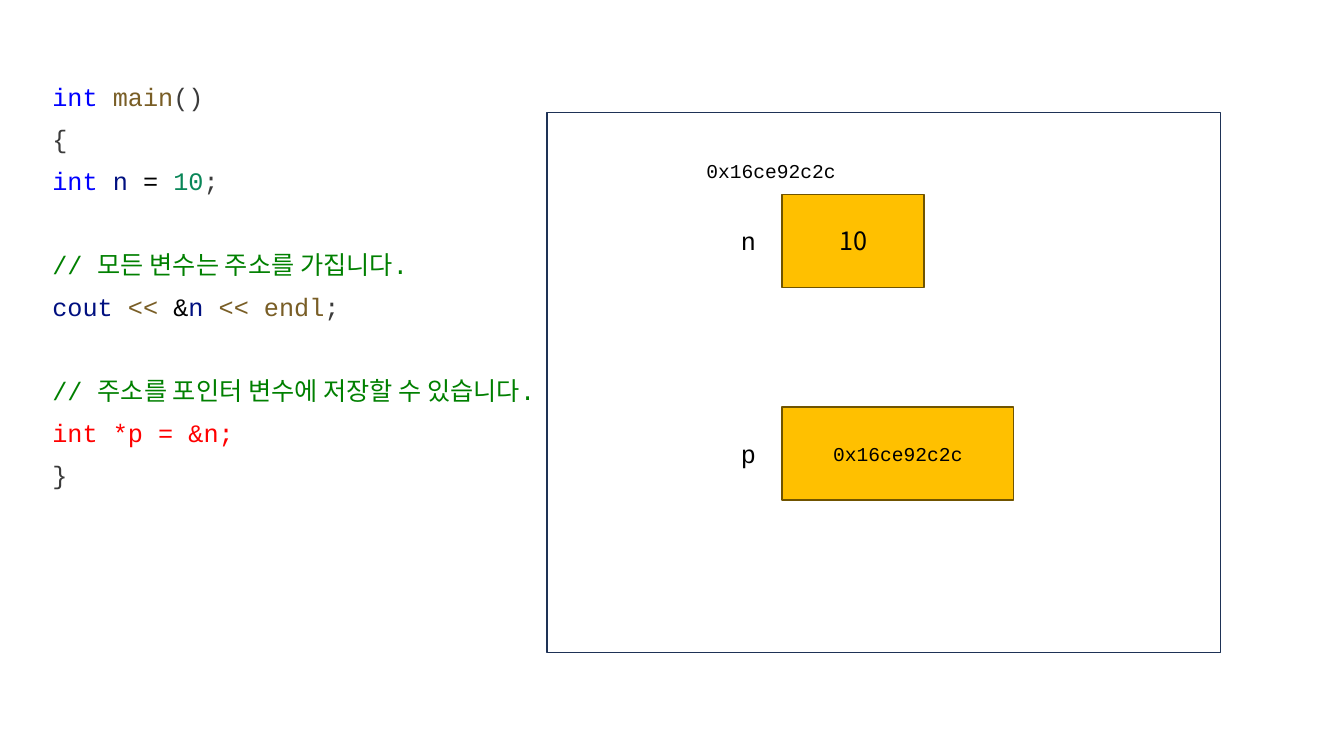
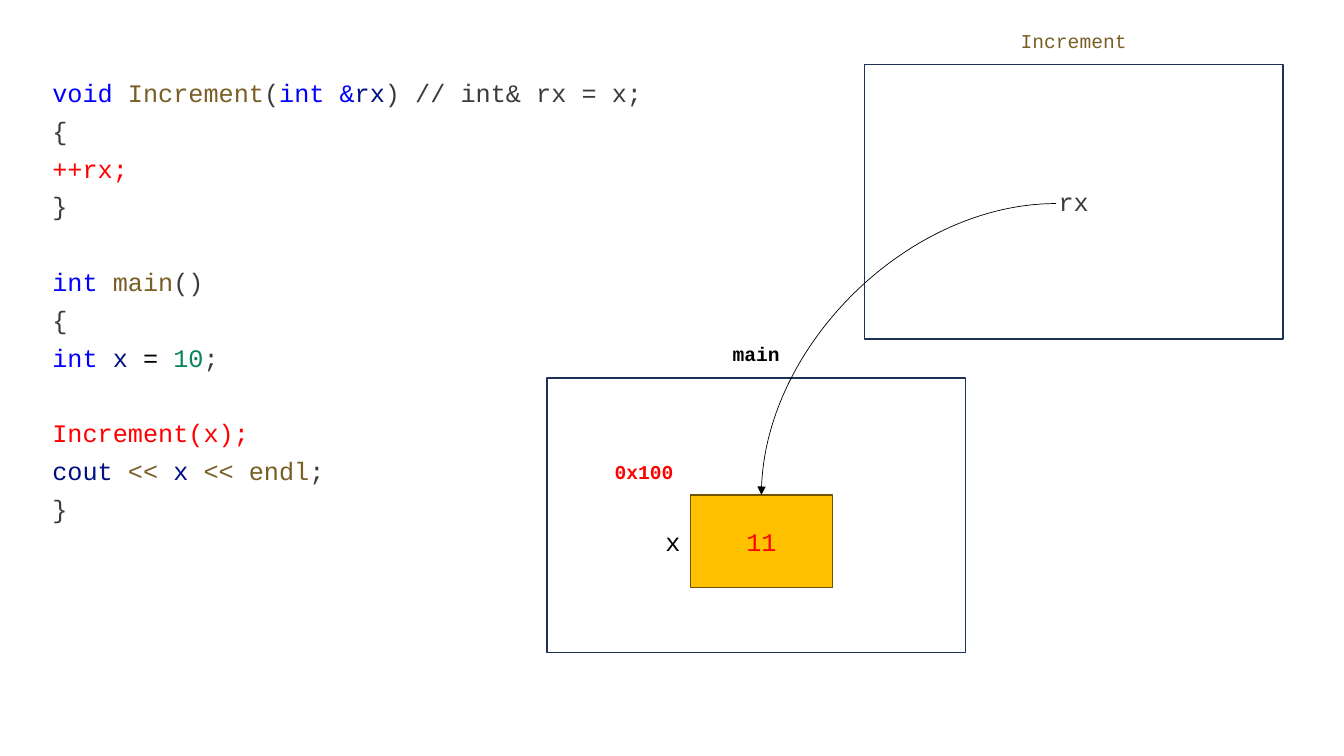
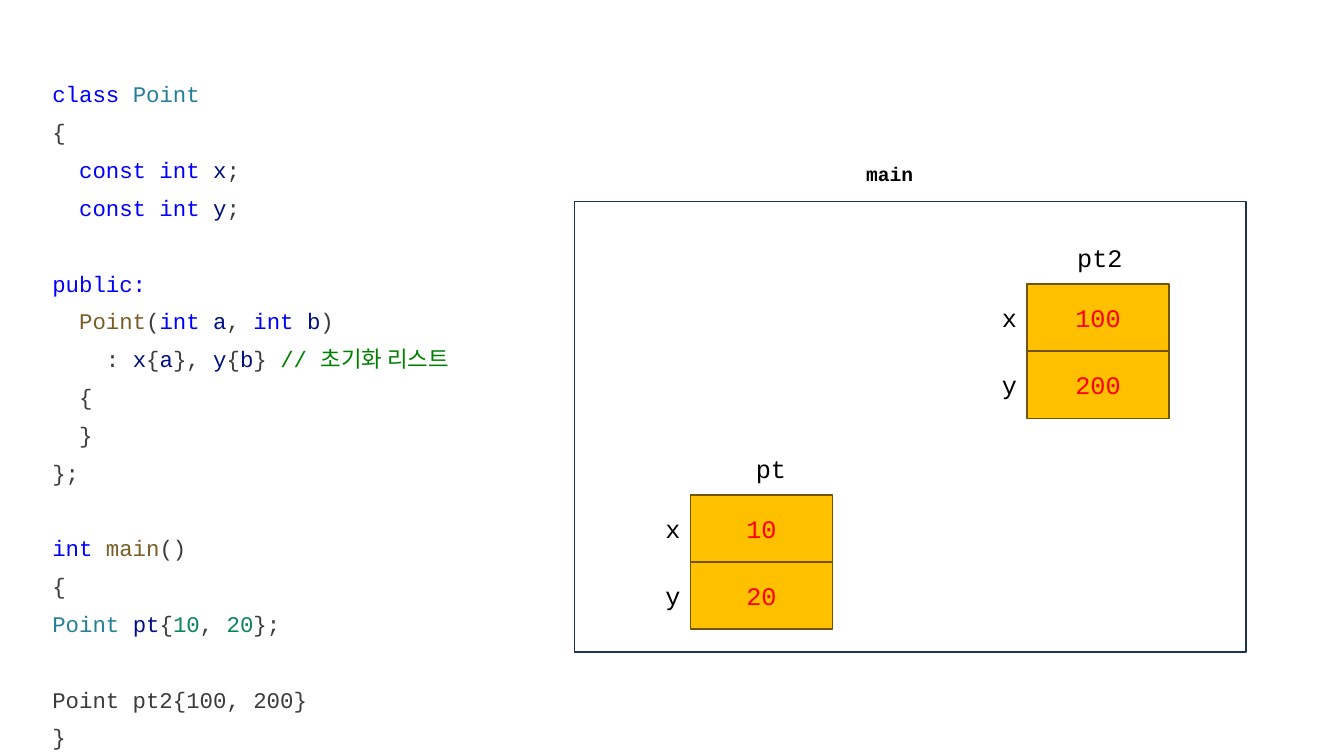
from lxml import etree
from pptx import Presentation
from pptx import util as u
from pptx.dml.color import RGBColor
from pptx.enum import shapes, text
from pptx.oxml import ns

# Colours
BLACK = RGBColor(0x00, 0x00, 0x00)
WHITE = RGBColor(0xFF, 0xFF, 0xFF)
RED = RGBColor(0xFF, 0x00, 0x00)
AMBER = RGBColor(0xFF, 0xC0, 0x00)
AMBER_EDGE = RGBColor(0x70, 0x54, 0x00)
NAVY = RGBColor(0x1E, 0x32, 0x56)
GREY = RGBColor(0x3B, 0x3B, 0x3B)
KEYWORD = RGBColor(0x00, 0x00, 0xFF)
FUNCTION = RGBColor(0x79, 0x5E, 0x26)
VARIABLE = RGBColor(0x00, 0x10, 0x80)
NUMBER = RGBColor(0x09, 0x86, 0x58)
COMMENT = RGBColor(0x00, 0x80, 0x00)
TYPE = RGBColor(0x26, 0x7F, 0x99)

# Fonts and shared styles
MONO = "Courier New"
KOREAN = "Noto Sans CJK KR"
LEFT, CENTER, RIGHT = text.PP_ALIGN.LEFT, text.PP_ALIGN.CENTER, text.PP_ALIGN.RIGHT
FRAME = dict(fill=WHITE, edge=NAVY)
MEMORY = dict(fill=AMBER, edge=AMBER_EDGE, align=CENTER)
CODE = dict(left=1.07, top=1.63, width=16.92)
CELL_WIDTH, CELL_HEIGHT, LABEL_HEIGHT, SMALL_HEIGHT = 3.58, 2.34, 1.02, 0.86
LABEL_WIDTH = 3


def add_text(slide, content, left, top, width, height, fill=None, edge=None,
             size=18, font=MONO, color=BLACK, bold=False, align=LEFT,
             pitch=None, wrap=True):
    """Content is a string, or lines of (text, colour) runs; an empty line is a gap."""
    area = [u.Cm(value) for value in (left, top, width, height)]
    if fill is None:
        shape = slide.shapes.add_textbox(*area)
        shape.text_frame.auto_size = text.MSO_AUTO_SIZE.SHAPE_TO_FIT_TEXT
    else:
        shape = slide.shapes.add_shape(shapes.MSO_SHAPE.RECTANGLE, *area)
        shape.shadow.inherit = False
        shape.fill.solid()
        shape.fill.fore_color.rgb = fill
        shape.line.color.rgb = edge
        shape.line.width = u.Pt(1)
        shape.text_frame.vertical_anchor = text.MSO_ANCHOR.MIDDLE
    frame = shape.text_frame
    frame.word_wrap = wrap

    lines = [[(content, color)]] if isinstance(content, str) else content
    paragraph, gap = None, False
    for line in lines:
        if not line:
            gap = True
            continue
        paragraph = frame.add_paragraph() if paragraph else frame.paragraphs[0]
        paragraph.alignment = align
        if pitch:
            paragraph.line_spacing = u.Pt(pitch)
        if gap:
            paragraph.space_before = u.Pt(pitch)
        gap = False
        for run_text, run_color in line:
            run = paragraph.add_run()
            run.text = run_text
            run.font.size = u.Pt(size)
            run.font.name = font
            run.font.bold = bold
            run.font.color.rgb = run_color
            east_asian = etree.SubElement(run.font._element, ns.qn("a:ea"))
            east_asian.set("typeface", KOREAN)
    return shape


presentation = Presentation()
presentation.slide_width = u.Cm(33.87)
presentation.slide_height = u.Cm(19.05)
blank = presentation.slide_layouts[6]

# Slide 1: pointer variable
slide = presentation.slides.add_slide(blank)
pointer_code = [
    [("int ", KEYWORD), ("main", FUNCTION), ("()", GREY)],
    [("{", GREY)],
    [("int ", KEYWORD), ("n ", VARIABLE), ("= ", BLACK), ("10", NUMBER), (";", GREY)],
    [],
    [("// 모든 변수는 주소를 가집니다.", COMMENT)],
    [("cout ", VARIABLE), ("<< ", FUNCTION), ("&", BLACK), ("n ", VARIABLE),
     ("<< endl", FUNCTION), (";", GREY)],
    [],
    [("// 주소를 포인터 변수에 저장할 수 있습니다.", COMMENT)],
    [("int *p = &n;", RED)],
    [("}", GREY)],
]
add_text(slide, pointer_code, height=10.87, pitch=30, **CODE)
add_text(slide, [], 13.79, 2.84, 16.97, 13.61, **FRAME)
add_text(slide, "0x16ce92c2c", 17.55, 3.89, 4.55, SMALL_HEIGHT, size=14)
for name, value, top, width, size, font in [
    ("n", "10", 4.9, CELL_WIDTH, 18, KOREAN),
    ("p", "0x16ce92c2c", 10.26, 5.84, 14, MONO),
]:
    add_text(slide, value, 19.71, top, width, CELL_HEIGHT, size=size, font=font, **MEMORY)
    add_text(slide, name, 18.42, top + 0.66, 0.89, LABEL_HEIGHT, wrap=False)

# Slide 2: reference parameter
slide = presentation.slides.add_slide(blank)
reference_code = [
    [("void ", KEYWORD), ("Increment", FUNCTION), ("(", GREY), ("int &", KEYWORD),
     ("rx", VARIABLE), (") // int& rx = x;", GREY)],
    [("{", GREY)],
    [("++rx;", RED)],
    [("}", GREY)],
    [],
    [("int ", KEYWORD), ("main", FUNCTION), ("()", GREY)],
    [("{", GREY)],
    [("int ", KEYWORD), ("x ", VARIABLE), ("= ", BLACK), ("10", NUMBER), (";", GREY)],
    [],
    [("Increment(x);", RED)],
    [("cout ", VARIABLE), ("<< ", FUNCTION), ("x ", VARIABLE),
     ("<< endl", FUNCTION), (";", GREY)],
    [("}", GREY)],
]
add_text(slide, reference_code, height=11.73, pitch=27, **CODE)

# Stack frames
for name, content, left, top, color, bold in [
    ("main", [], 13.79, 9.53, BLACK, True),
    ("Increment", "rx", 21.79, 1.63, FUNCTION, False),
]:
    add_text(slide, content, left, top, 10.54, 6.91, color=GREY, align=CENTER, **FRAME)
    add_text(slide, name, left, top - 1.03, 10.54, SMALL_HEIGHT,
             size=14, color=color, bold=bold, align=CENTER)

# Variable x
cell_left, cell_top = 17.4, 12.47
add_text(slide, "11", cell_left, cell_top, CELL_WIDTH, CELL_HEIGHT, color=RED, **MEMORY)
add_text(slide, "x", cell_left - LABEL_WIDTH, cell_top + 0.66, LABEL_WIDTH, LABEL_HEIGHT,
         align=RIGHT)
add_text(slide, "0x100", 15.24, 11.46, 4.55, SMALL_HEIGHT, size=14, color=RED, bold=True)

# Curved arrow from rx to x
arrow = slide.shapes.add_connector(
    shapes.MSO_CONNECTOR.CURVE, u.Cm(26.62), u.Cm(5.13),
    u.Cm(cell_left + CELL_WIDTH / 2), u.Cm(cell_top))
arrow.line.color.rgb = BLACK
arrow.line.width = u.Pt(0.5)
properties = arrow._element.spPr
properties.find(ns.qn("a:prstGeom")).set("prst", "curvedConnector2")
etree.SubElement(properties.find(ns.qn("a:ln")), ns.qn("a:tailEnd")).set("type", "triangle")
etree.SubElement(properties, ns.qn("a:effectLst"))

# Slide 3: class with an initializer list
slide = presentation.slides.add_slide(blank)
class_code = [
    [("class ", KEYWORD), ("Point", TYPE)],
    [("{", GREY)],
    [("  const int ", KEYWORD), ("x", VARIABLE), (";", GREY)],
    [("  const int ", KEYWORD), ("y", VARIABLE), (";", GREY)],
    [],
    [("public:", KEYWORD)],
    [("  Point", FUNCTION), ("(", GREY), ("int ", KEYWORD), ("a", VARIABLE), (", ", GREY),
     ("int ", KEYWORD), ("b", VARIABLE), (")", GREY)],
    [("    : ", GREY), ("x", VARIABLE), ("{", GREY), ("a", VARIABLE), ("}, ", GREY),
     ("y", VARIABLE), ("{", GREY), ("b", VARIABLE), ("}", GREY),
     (" // 초기화 리스트", COMMENT)],
    [("  {", GREY)],
    [("  }", GREY)],
    [("};", GREY)],
    [],
    [("int ", KEYWORD), ("main", FUNCTION), ("()", GREY)],
    [("{", GREY)],
    [("Point ", TYPE), ("pt", VARIABLE), ("{", GREY), ("10", NUMBER), (", ", GREY),
     ("20", NUMBER), ("};", GREY)],
    [],
    [("Point pt2{100, 200}", GREY)],
    [("}", GREY)],
]
add_text(slide, class_code, height=17.5, size=16, pitch=27, **CODE)
add_text(slide, [], 14.48, 5.08, 16.92, 11.35, **FRAME)
add_text(slide, "main", 17.15, 3.96, 10.54, SMALL_HEIGHT, size=14, bold=True, align=CENTER)

# Point objects
member_height = 1.69
for name, left, top, values in [
    ("pt", 17.4, 12.47, ("10", "20")),
    ("pt2", 25.88, 7.16, ("100", "200")),
]:
    add_text(slide, name, left - 1.45, top - 1.17, 4.11, LABEL_HEIGHT, align=RIGHT)
    for row, (member, value) in enumerate(zip("xy", values)):
        member_top = top + row * member_height
        add_text(slide, value, left, member_top, CELL_WIDTH, member_height,
                 color=RED, **MEMORY)
        add_text(slide, member, left - LABEL_WIDTH, member_top + 0.33,
                 LABEL_WIDTH, LABEL_HEIGHT, align=RIGHT)

presentation.save("out.pptx")
